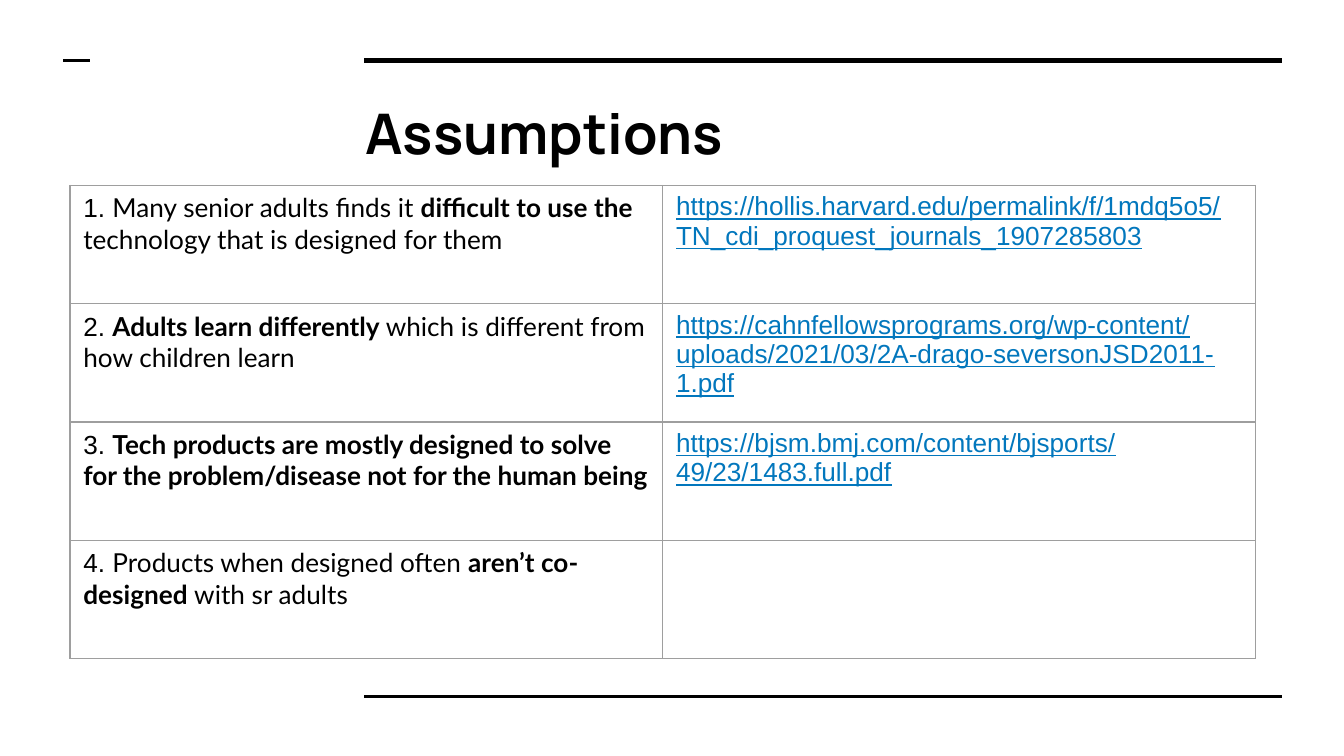
from dataclasses import dataclass

import pptx
import pptx.dml.color
import pptx.enum.shapes
import pptx.enum.text
import pptx.oxml
import pptx.oxml.ns
import pptx.util
from pptx.util import Inches


@dataclass(frozen=True)
class Theme:
    ink: str = "000000"
    link: str = "0277BD"
    border: str = "9E9E9E"
    title_font: str = "Manrope"
    body_font: str = "Lato"
    plain_font: str = "Arial"
    title_size: int = 30
    body_size: int = 14
    border_width: float = 0.75
    thick_rule: float = 3
    thin_rule: float = 1.5


THEME = Theme()

# Each row: assumption as (text, bold) spans, then its source link.
ASSUMPTIONS = [
    ([("Many senior adults finds it ", False), ("difficult to use the ", True),
      ("technology that is designed for them", False)],
     "https://hollis.harvard.edu/permalink/f/1mdq5o5/TN_cdi_proquest_journals_1907285803"),
    ([("Adults learn differently ", True),
      ("which is different from how children learn", False)],
     "https://cahnfellowsprograms.org/wp-content/uploads/2021/03/2A-drago-seversonJSD2011-1.pdf"),
    ([("Tech products are mostly designed to solve for the problem/disease "
       "not for the human being", True)],
     "https://bjsm.bmj.com/content/bjsports/49/23/1483.full.pdf"),
    ([("Products when designed often ", False), ("aren’t co-designed ", True),
      ("with sr adults", False)],
     ""),
]


def color(code):
    return pptx.dml.color.RGBColor.from_string(code)


def add_span(para, text, font, size, ink=THEME.ink, bold=False, underline=False):
    span = para.add_run()
    span.text = text
    span.font.name = font
    span.font.size = pptx.util.Pt(size)
    span.font.color.rgb = color(ink)
    span.font.bold = bold
    span.font.underline = underline


def add_rule(page, left, top, width, weight):
    rule = page.shapes.add_connector(
        pptx.enum.shapes.MSO_CONNECTOR.STRAIGHT,
        Inches(left), Inches(top), Inches(left + width), Inches(top))
    rule.line.color.rgb = color(THEME.ink)
    rule.line.width = pptx.util.Pt(weight)
    properties = rule.element.find(pptx.oxml.ns.qn("p:spPr"))
    properties.append(pptx.oxml.parse_xml(
        f'<a:effectLst {pptx.oxml.ns.nsdecls("a")}/>'))


def add_frame_rules(page, left, top, width, height):
    """Rules above and below the content column, plus a dash at the far left."""
    column = 2.24
    add_rule(page, left + column, top, width - column, THEME.thick_rule)
    add_rule(page, left + column, top + height, width - column, THEME.thin_rule)
    add_rule(page, left, top, 0.2, THEME.thin_rule)


def add_title(page, text, left, top, width, height):
    box = page.shapes.add_textbox(
        Inches(left), Inches(top), Inches(width), Inches(height))
    frame = box.text_frame
    frame.word_wrap = True
    frame.vertical_anchor = pptx.enum.text.MSO_ANCHOR.TOP
    frame.margin_left = frame.margin_right = Inches(0.1)
    frame.margin_top = frame.margin_bottom = Inches(0.1)
    add_span(frame.paragraphs[0], text, THEME.title_font, THEME.title_size, bold=True)


def style_cell(cell):
    """Clear the fill and draw the four borders."""
    cell.fill.background()
    properties = cell._tc.get_or_add_tcPr()
    for index, side in enumerate(("lnL", "lnR", "lnT", "lnB")):
        properties.insert(index, pptx.oxml.parse_xml(
            f'<a:{side} {pptx.oxml.ns.nsdecls("a")} '
            f'w="{pptx.util.Pt(THEME.border_width)}"><a:solidFill>'
            f'<a:srgbClr val="{THEME.border}"/></a:solidFill></a:{side}>'))


def add_assumption_table(page, rows, left, top, width, height):
    table = page.shapes.add_table(
        len(rows), 2, Inches(left), Inches(top), Inches(width), Inches(height)).table
    table.first_row = table.horz_banding = False
    for number, (spans, link) in enumerate(rows, start=1):
        claim, source = table.rows[number - 1].cells
        style_cell(claim)
        style_cell(source)
        para = claim.text_frame.paragraphs[0]
        add_span(para, f"{number}. ", THEME.plain_font, THEME.body_size)
        for text, bold in spans:
            add_span(para, text, THEME.body_font, THEME.body_size, bold=bold)
        if link:
            add_span(source.text_frame.paragraphs[0], link, THEME.plain_font,
                     THEME.body_size, ink=THEME.link, underline=True)


def main():
    deck = pptx.Presentation()
    deck.slide_width = Inches(10)
    deck.slide_height = deck.slide_width * 9 // 16
    page = deck.slides.add_slide(deck.slide_layouts[6])
    add_frame_rules(page, 0.47, 0.45, 9.07, 4.73)
    add_title(page, "Assumptions", 2.62, 0.63, 6.91, 0.69)
    add_assumption_table(page, ASSUMPTIONS, 0.52, 1.38, 8.82, 3.52)
    deck.save("out.pptx")


if __name__ == "__main__":
    main()
